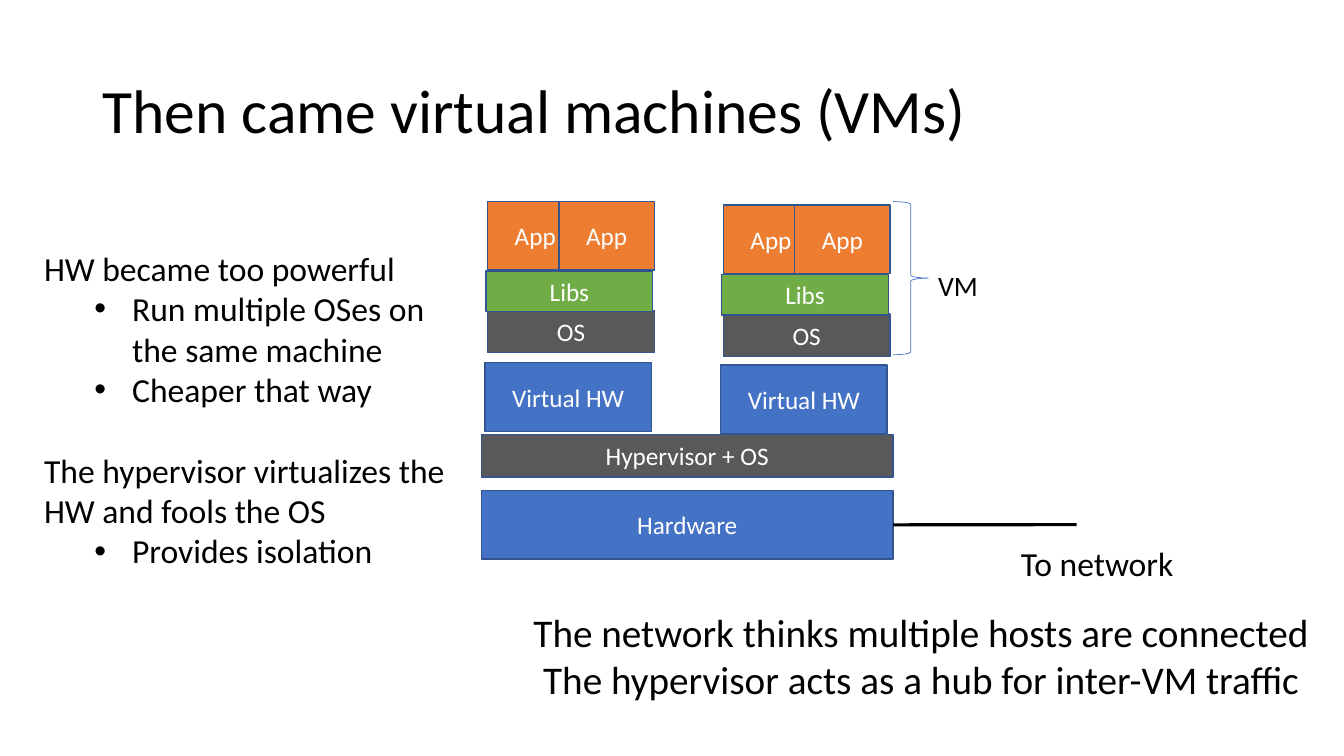
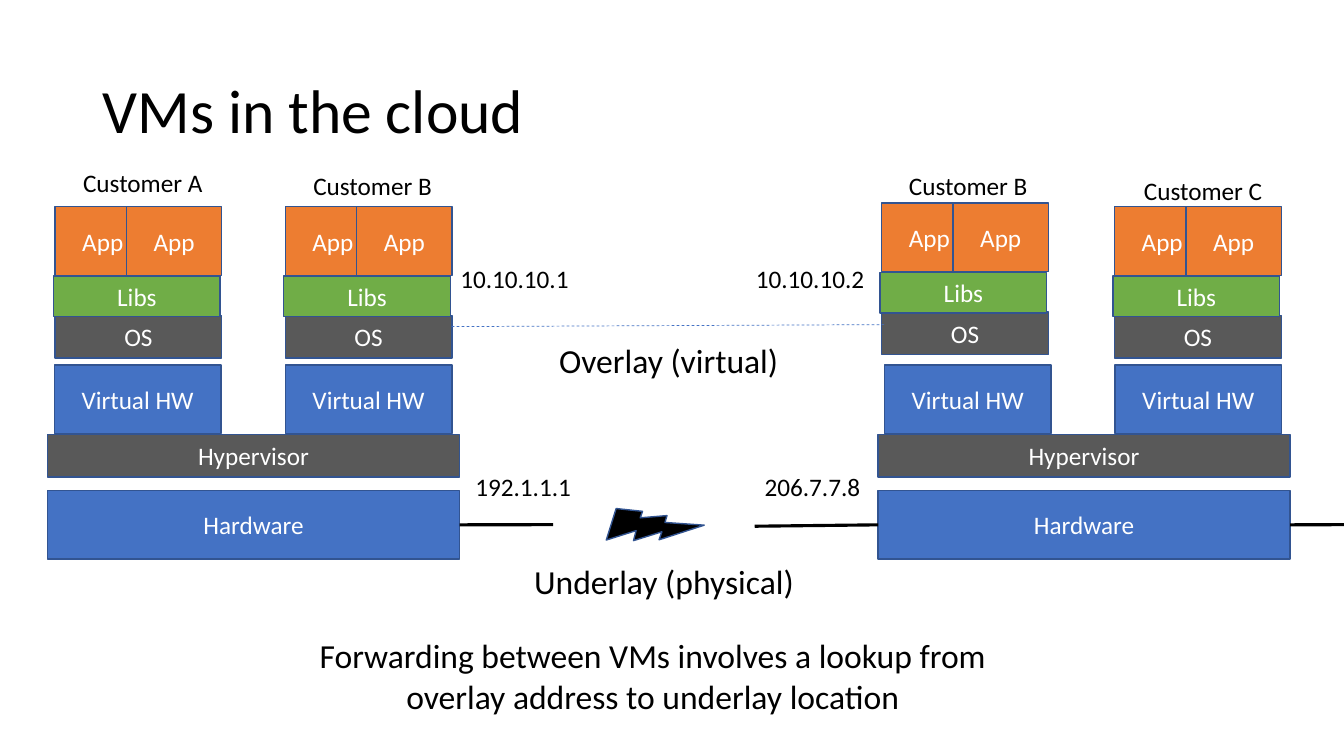
from lxml import etree
from pptx import Presentation
from pptx.dml.color import RGBColor
from pptx.enum import dml, shapes, text
from pptx.oxml.ns import qn
from pptx.util import Cm, Pt

# Content: all lengths in cm, sizes in points
FONT = "Calibri"
BLACK, WHITE, EDGE = "000000", "FFFFFF", "325491"
BLUE, GREY, GREEN, ORANGE = "4472C4", "595959", "70AD47", "ED7D31"
MID, LEFT = text.PP_ALIGN.CENTER, text.PP_ALIGN.LEFT
WIDE, TALL = 33.87, 19.05
HOST = 10.38            # width of a host
UNIT, HIGH = 4.2, 1.73  # width of a machine, height of a tall block
WIRE = 13.22            # height of the network line

# Parts of a machine: label, fill, offset x, offset y, width, height
STACK = [
    ("App", ORANGE, 0, 0, 2.4, HIGH),
    ("App", ORANGE, 1.8, 0, 2.4, HIGH),
    ("OS", GREY, 0, 2.74, UNIT, 1.07),
    ("Libs", GREEN, -0.04, 1.75, UNIT, 1.02),
]

# Hosts: left, hypervisor label
# Machines: left and top of the stack, left and top of the virtual hardware
# Labels: left, top, width, height, size, alignment, lines
# A line of text starting with a bullet sign is indented
SLIDES = [
    {
        "title": "Then came virtual machines (VMs)",
        "hosts": [(12.13, "Hypervisor + OS")],
        "vms": [(12.29, 5.08, 12.22, 9.14), (18.23, 5.17, 18.16, 9.2)],
        "labels": [
            (25.48, 13.56, 4.6, 1.27, 24, LEFT, ["To network"]),
            (23.39, 6.63, 1.6, 1.12, 20, LEFT, ["VM"]),
            (0.86, 6.12, 10.69, 8.46, 24, LEFT, [
                "HW became too powerful",
                "•Run multiple OSes on the same machine",
                "•Cheaper that way",
                "The hypervisor virtualizes the HW and fools the OS",
                "•Provides isolation"]),
            (12.01, 15.21, 22.4, 2.65, 28, MID, [
                "The network thinks multiple hosts are connected",
                "The hypervisor acts as a hub for inter-VM traffic"]),
        ],
    },
    {
        "title": "VMs in the cloud",
        "hosts": [(1.2, "Hypervisor"), (22.13, "Hypervisor")],
        "vms": [(1.39, 5.21, 1.37, 9.2), (7.19, 5.21, 7.19, 9.2),
                (22.22, 5.12, 22.29, 9.2), (28.09, 5.21, 28.1, 9.2)],
        "labels": [
            (1.68, 4.09, 3.84, 1.02, 18, MID, ["Customer A"]),
            (7.47, 4.17, 3.84, 1.02, 18, MID, ["Customer B"]),
            (22.48, 4.17, 3.84, 1.02, 18, MID, ["Customer B"]),
            (28.4, 4.29, 3.84, 1.02, 18, MID, ["Customer C"]),
            (11.35, 6.5, 6.8, 1.02, 18, LEFT, ["10.10.10.1"]),
            (18.8, 6.5, 6.8, 1.02, 18, LEFT, ["10.10.10.2"]),
            (11.73, 11.76, 6.8, 1.02, 18, LEFT, ["192.1.1.1"]),
            (19.02, 11.76, 6.8, 1.02, 18, LEFT, ["206.7.7.8"]),
            (13.21, 14, 7.9, 1.27, 24, LEFT, ["Underlay (physical)"]),
            (13.84, 8.43, 6.8, 1.27, 24, LEFT, ["Overlay (virtual)"]),
            (7.32, 15.88, 18.26, 2.31, 24, MID, [
                "Forwarding between VMs involves a lookup from "
                "overlay address to underlay location"]),
        ],
    },
]


# Helpers
def put(thing, **vals):
    for key, val in vals.items():
        setattr(thing, key, val)


def tint(part, color):
    part.rgb = RGBColor.from_string(color)


def write(para, words, size, color, align):
    para.alignment = align
    run = para.add_run()
    run.text = words
    put(run.font, name=FONT, size=Pt(size))
    tint(run.font.color, color)


def bullet(para):
    props = para._p.get_or_add_pPr()
    props.set("marL", str(Cm(2.22)))
    props.set("indent", str(Cm(-0.95)))
    etree.SubElement(props, qn("a:buFont")).set("typeface", "Arial")
    etree.SubElement(props, qn("a:buChar")).set("char", "•")


def shape(pool, kind, box, fill=None, edge=EDGE, width=1):
    item = pool.add_shape(kind, *map(Cm, box))
    item.shadow.inherit = False
    if fill:
        item.fill.solid()
        tint(item.fill.fore_color, fill)
    else:
        item.fill.background()
    tint(item.line.color, edge)
    item.line.width = Pt(width)
    return item


def block(pool, words, fill, *box):
    item = shape(pool, shapes.MSO_SHAPE.RECTANGLE, box, fill)
    frame = item.text_frame
    put(frame, vertical_anchor=text.MSO_ANCHOR.MIDDLE, word_wrap=True)
    write(frame.paragraphs[0], words, 18, WHITE, MID)
    return item


def label(pool, x, y, w, h, size, align, lines):
    frame = pool.add_textbox(*map(Cm, (x, y, w, h))).text_frame
    frame.word_wrap = True
    for pos, words in enumerate(lines):
        para = frame.add_paragraph() if pos else frame.paragraphs[0]
        if words.startswith("•"):
            bullet(para)
        elif pos and align == LEFT:
            para.space_before = Pt(29)
        write(para, words.lstrip("•"), size, BLACK, align)


def line(pool, ends, color=BLACK, width=2.25):
    item = pool.add_connector(shapes.MSO_CONNECTOR.STRAIGHT, *map(Cm, ends))
    etree.SubElement(item._element.spPr, qn("a:effectLst"))
    tint(item.line.color, color)
    item.line.width = Pt(width)
    return item


def outlet(pool, host, end):
    start = (host.left + host.width) / Cm(1)
    line(pool, (start, WIRE, end, WIRE)).begin_connect(host, 3)


# Shared slide: title, hosts, machines and labels
def build(deck, data):
    slide = deck.slides.add_slide(deck.slide_layouts[5])
    pool = slide.shapes
    title = pool.title
    put(title, left=Cm(2.33), top=Cm(1.01), width=Cm(29.21), height=Cm(3.68))
    title.text_frame.vertical_anchor = text.MSO_ANCHOR.MIDDLE
    para = title.text_frame.paragraphs[0]
    para.line_spacing = 0.9
    write(para, data["title"], 44, BLACK, LEFT)

    hosts = []
    for x, name in data["hosts"]:
        hosts.append(block(pool, "Hardware", BLUE, x, 12.36, HOST, HIGH))
        block(pool, name, GREY, x, 10.95, HOST, 1.07)
    for x, y, left, top in data["vms"]:
        block(pool, "Virtual HW", BLUE, left, top, UNIT, HIGH)
        group = pool.add_group_shape().shapes
        for name, fill, dx, dy, w, h in STACK:
            block(group, name, fill, x + dx, y + dy, w, h)
    for item in data["labels"]:
        label(pool, *item)
    return pool, hosts


def main():
    deck = Presentation()
    put(deck, slide_width=Cm(WIDE), slide_height=Cm(TALL))

    # One host with its network line and the brace beside a machine
    pool, (host,) = build(deck, SLIDES[0])
    outlet(pool, host, 27.13)
    shape(pool, shapes.MSO_SHAPE.RIGHT_BRACE, (22.51, 5.08, 0.89, 3.86),
          edge=BLUE, width=0.5)

    # Two hosts joined by the underlay and the overlay
    pool, (near, far) = build(deck, SLIDES[1])
    outlet(pool, near, 13.94)
    outlet(pool, far, WIDE)
    line(pool, (19.02, 13.26, 22.13, WIRE)).end_connect(far, 1)
    bolt = shape(pool, shapes.MSO_SHAPE.LIGHTNING_BOLT,
                 (15.42, 12.34, 1.93, 1.93), BLACK)
    bolt.rotation = 312
    over = line(pool, (11.38, 8.23, 22.28, 8.18), BLUE, 0.5)
    over.line.dash_style = dml.MSO_LINE.DASH

    deck.save("out.pptx")


if __name__ == "__main__":
    main()
